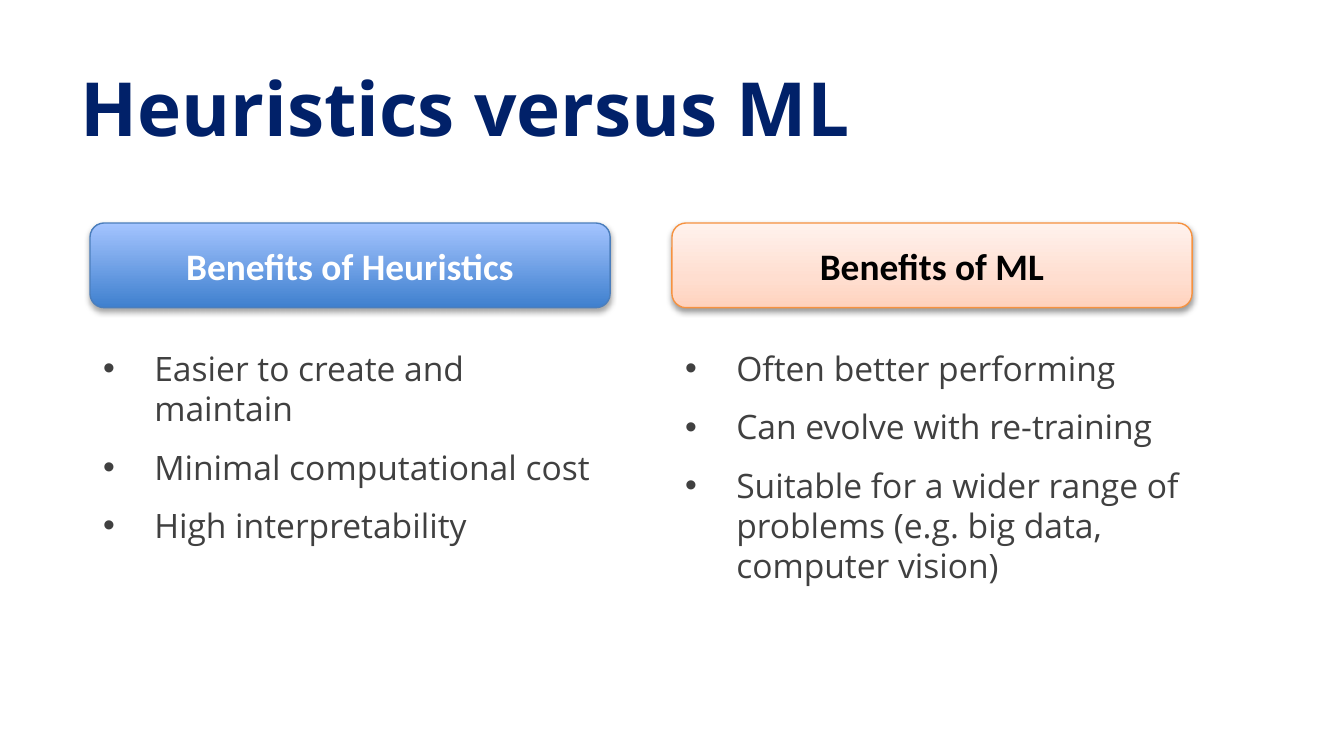
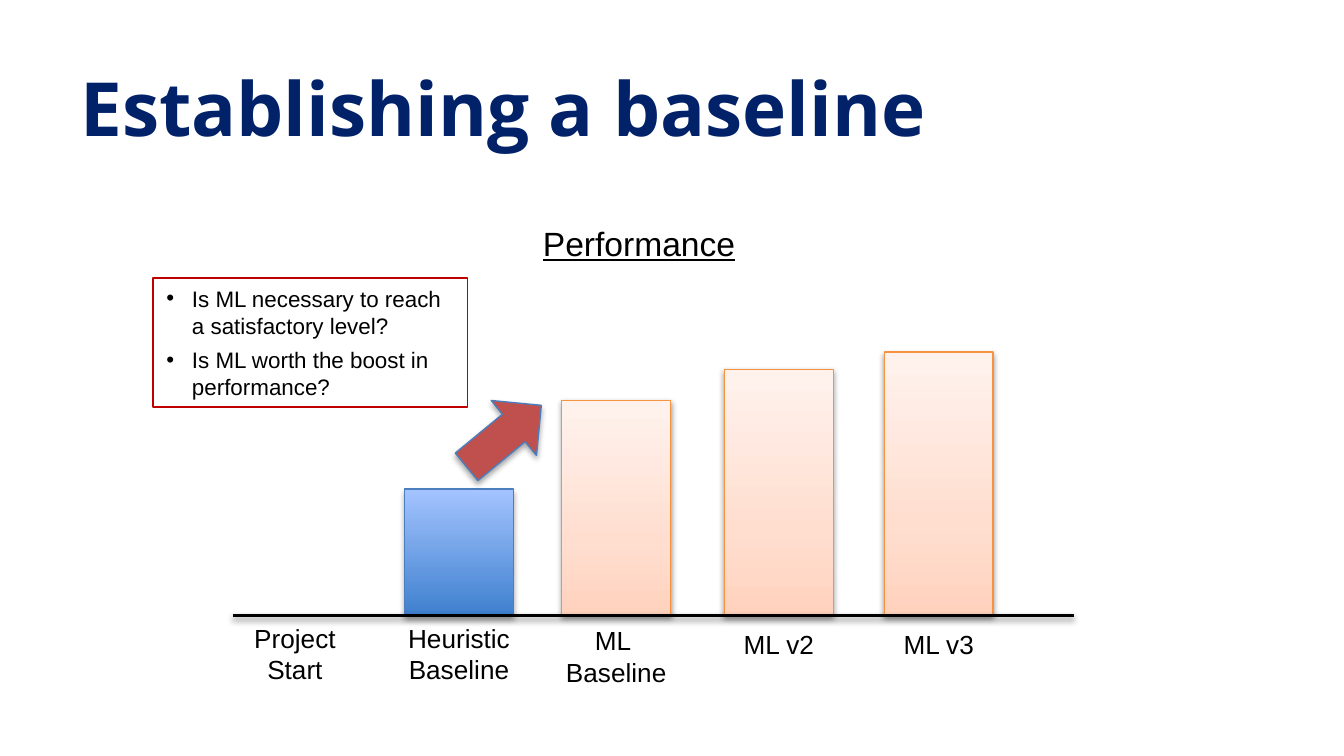
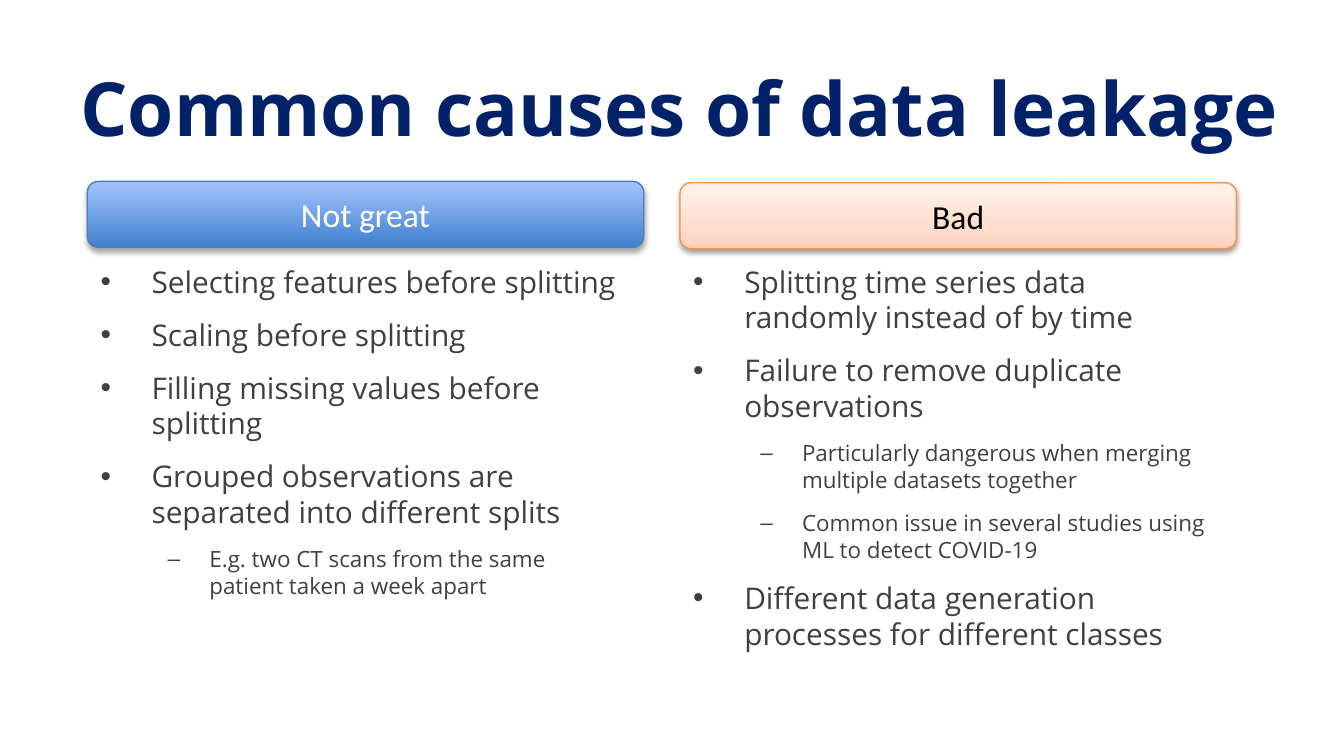
"""Build three slides on heuristics, baselines and data leakage."""
from dataclasses import dataclass

from lxml.etree import SubElement
from pptx import Presentation
from pptx.dml.color import RGBColor
from pptx.enum.shapes import MSO_CONNECTOR as Connector, MSO_SHAPE as Shape
from pptx.enum.text import MSO_ANCHOR as Anchor, PP_ALIGN as Align
from pptx.oxml.ns import qn
from pptx.util import Inches, Pt


@dataclass(frozen=True)
class Finish:
    """Surface of a raised shape; stops run from bottom to top."""
    stops: tuple
    line: str
    text: str
    shadow: tuple


class Theme:
    """Colours, fonts and type sizes shared by the slides."""
    heading, body, label = "Open Sans", "Calibri", "Arial"
    navy, grey, black, white = "012169", "404040", "000000", "FFFFFF"
    red, crimson, edge = "C0504D", "C00000", "4B7EBC"
    title_size, sub_size, note_size, tick_size, chart_size = 40, 12, 12, 14, 18
    strong_shadow, soft_shadow = (35, 1.8), (38, 1.6)
    blue = Finish(((0, "3F80CE"), (100, "A4C4FF")), edge, white, strong_shadow)
    peach = Finish(((0, "FFD2BD"), (35, "FFDED0"), (100, "FFF2ED")),
                   "F69240", black, soft_shadow)


PAGE_WIDTH = 10
PAGE_HEIGHT = PAGE_WIDTH * 9 / 16
HEURISTICS = {
    "title": "Heuristics versus ML", "title_width": 9,
    "header_height": 0.63, "header_size": 20, "bold": True,
    "list_top": 2.54, "list_height": 2.26, "list_size": 18, "width": 3.87,
    "columns": [
        (0.67, 1.66, 3.87, Theme.blue, "Benefits of Heuristics", [
            (0, "Easier to create and maintain"),
            (0, "Minimal computational cost"),
            (0, "High interpretability")]),
        (5, 1.66, 3.89, Theme.peach, "Benefits of ML", [
            (0, "Often better performing"),
            (0, "Can evolve with re-training"),
            (0, "Suitable for a wider range of problems "
                "(e.g. big data, computer vision)")]),
    ],
}
LEAKAGE = {
    "title": "Common causes of data leakage", "title_width": 9.12,
    "header_height": 0.49, "header_size": 18, "bold": False,
    "list_top": 1.91, "list_height": 3, "list_size": 16, "width": 4.14,
    "columns": [
        (0.65, 1.35, 4.07, Theme.blue, "Not great", [
            (0, "Selecting features before splitting"),
            (0, "Scaling before splitting"),
            (0, "Filling missing values before splitting"),
            (0, "Grouped observations are separated into different splits"),
            (1, "E.g. two CT scans from the same patient taken a week apart")]),
        (5.06, 1.36, 4.14, Theme.peach, "Bad", [
            (0, "Splitting time series data randomly instead of by time"),
            (0, "Failure to remove duplicate observations"),
            (1, "Particularly dangerous when merging multiple datasets together"),
            (1, "Common issue in several studies using ML to detect COVID-19"),
            (0, "Different data generation processes for different classes")]),
    ],
}
BASELINE_TITLE = "Establishing a baseline"
CHART_TITLE = "Performance"
QUESTIONS = ["Is ML necessary to reach a satisfactory level?",
             "Is ML worth the boost in performance?"]
AXIS_LEFT, AXIS_RIGHT, AXIS_Y = 1.73, 7.99, 4.58
BAR_WIDTH, TICK_WIDTH = 0.81, 1.35
STAGES = [
    (1.79, 0, None, 4.58, ["Project Start"]),
    (3.01, 0.94, Theme.blue, 4.58, ["Heuristic Baseline"]),
    (4.18, 1.6, Theme.peach, 4.6, ["ML ", "Baseline"]),
    (5.39, 1.83, Theme.peach, 4.63, ["ML v2"]),
    (6.58, 1.96, Theme.peach, 4.63, ["ML v3"]),
]
BULLETS = [("•", 0.38, 0.38), ("–", 0.81, 0.31)]


def rgb(code):
    return RGBColor.from_string(code)


def inches(*lengths):
    return [Inches(length) for length in lengths]


def style(font, name, size, color, bold=False):
    font.name, font.size, font.bold = name, Pt(size), bold
    font.color.rgb = rgb(color)


def set_bullet(para, mark, margin, hanging):
    props = para._p.get_or_add_pPr()
    props.set("marL", str(Inches(margin)))
    props.set("indent", str(-Inches(hanging)))
    SubElement(props, qn("a:buFont"), typeface="Arial")
    SubElement(props, qn("a:buChar"), char=mark)


def add_paragraphs(frame, lines):
    frame.word_wrap = True
    for index, line in enumerate(lines):
        para = frame.add_paragraph() if index else frame.paragraphs[0]
        para.text = line
        yield index, para


def add_label(page, place, lines, size):
    frame = page.shapes.add_textbox(*inches(*place)).text_frame
    for _, para in add_paragraphs(frame, lines):
        para.alignment = Align.CENTER
        style(para.font, Theme.label, size, Theme.black)
    return frame


def add_title(page, text, width=9):
    frame = page.shapes.add_textbox(*inches(0.5, 0.42, width, 0.74)).text_frame
    frame.vertical_anchor = Anchor.MIDDLE
    for _, para in add_paragraphs(frame, [text]):
        style(para.font, Theme.heading, Theme.title_size, Theme.navy, True)


def add_shadow(effects, opacity, distance):
    shadow = SubElement(effects, qn("a:outerShdw"), blurRad=str(Pt(3.1)),
                        dist=str(Pt(distance)), dir="5400000", rotWithShape="0")
    color = SubElement(shadow, qn("a:srgbClr"), val=Theme.black)
    SubElement(color, qn("a:alpha"), val=str(opacity * 1000))


def add_outlined(page, kind, place, line, shadow=None):
    shape = page.shapes.add_shape(kind, *inches(*place))
    shape.line.color.rgb = rgb(line)
    shape.line.width = Pt(0.75)
    shape.shadow.inherit = False
    if shadow:
        add_shadow(shape._element.spPr.find(qn("a:effectLst")), *shadow)
    return shape


def add_raised(page, kind, place, finish):
    shape = add_outlined(page, kind, place, finish.line, finish.shadow)
    shape.fill.gradient()
    shape.fill.gradient_angle = 90
    stops = shape._element.spPr.find(".//" + qn("a:gsLst"))
    stops.clear()
    for position, color in finish.stops:
        stop = SubElement(stops, qn("a:gs"), pos=str(position * 1000))
        SubElement(stop, qn("a:srgbClr"), val=color)
    return shape


def add_header(page, place, finish, text, size, bold):
    frame = add_raised(page, Shape.ROUNDED_RECTANGLE, place, finish).text_frame
    frame.vertical_anchor = Anchor.MIDDLE
    for _, para in add_paragraphs(frame, [text]):
        para.alignment = Align.CENTER
        style(para.font, Theme.body, size, finish.text, bold)


def add_list(page, place, items, main_size):
    frame = page.shapes.add_textbox(*inches(*place)).text_frame
    for index, para in add_paragraphs(frame, [text for _, text in items]):
        level = items[index][0]
        size = Theme.sub_size if level else main_size
        para.level = level
        para.space_before = Pt(size * 0.2 if index else 0)
        para.space_after = Pt(6)
        set_bullet(para, *BULLETS[level])
        style(para.font, Theme.heading, size, Theme.grey)


def build_comparison(page, content):
    add_title(page, content["title"], content["title_width"])
    for left, top, list_width, finish, header, items in content["columns"]:
        add_header(page, (left, top, content["width"], content["header_height"]),
                   finish, header, content["header_size"], content["bold"])
        add_list(page, (left, content["list_top"], list_width, content["list_height"]),
                 items, content["list_size"])


def add_questions(page):
    box = add_outlined(page, Shape.RECTANGLE, (1.14, 2.07, 2.34, 0.96), Theme.crimson)
    box.fill.solid()
    box.fill.fore_color.rgb = rgb(Theme.white)
    box.text_frame.vertical_anchor = Anchor.TOP
    for index, para in add_paragraphs(box.text_frame, QUESTIONS):
        para.alignment = Align.LEFT
        para.space_before = Pt(4 if index else 0)
        set_bullet(para, "•", 0.19, 0.19)
        style(para.font, Theme.label, Theme.note_size, Theme.black)


def add_axis(page):
    axis = page.shapes.add_connector(
        Connector.STRAIGHT, *inches(AXIS_LEFT, AXIS_Y, AXIS_RIGHT, AXIS_Y))
    axis.line.color.rgb = rgb(Theme.black)
    axis.line.width = Pt(2)
    effects = SubElement(axis._element.spPr, qn("a:effectLst"))
    add_shadow(effects, *Theme.soft_shadow)


def build_baseline(page):
    add_title(page, BASELINE_TITLE)
    for left, height, finish, label_top, lines in STAGES:
        if finish:
            place = (left, AXIS_Y - height, BAR_WIDTH, height)
            add_raised(page, Shape.RECTANGLE, place, finish)
        width = TICK_WIDTH if finish else 1.13
        label_left = left + (BAR_WIDTH - width) / 2
        add_label(page, (label_left, label_top, width, 0.57),
                  lines, Theme.tick_size)
    arrow = add_outlined(page, Shape.RIGHT_ARROW, (3.39, 2.98, 0.72, 0.53),
                         Theme.edge, Theme.strong_shadow)
    arrow.rotation = 320.5
    arrow.fill.solid()
    arrow.fill.fore_color.rgb = rgb(Theme.red)
    add_questions(page)
    heading = add_label(page, (2.32, 1.61, 4.87, 0.4), [CHART_TITLE], Theme.chart_size)
    heading.paragraphs[0].font.underline = True
    add_axis(page)


def main():
    deck = Presentation()
    deck.slide_width, deck.slide_height = inches(PAGE_WIDTH, PAGE_HEIGHT)
    pages = [deck.slides.add_slide(deck.slide_layouts[6]) for _ in range(3)]
    build_comparison(pages[0], HEURISTICS)
    build_baseline(pages[1])
    build_comparison(pages[2], LEAKAGE)
    deck.save("out.pptx")


if __name__ == "__main__":
    main()
